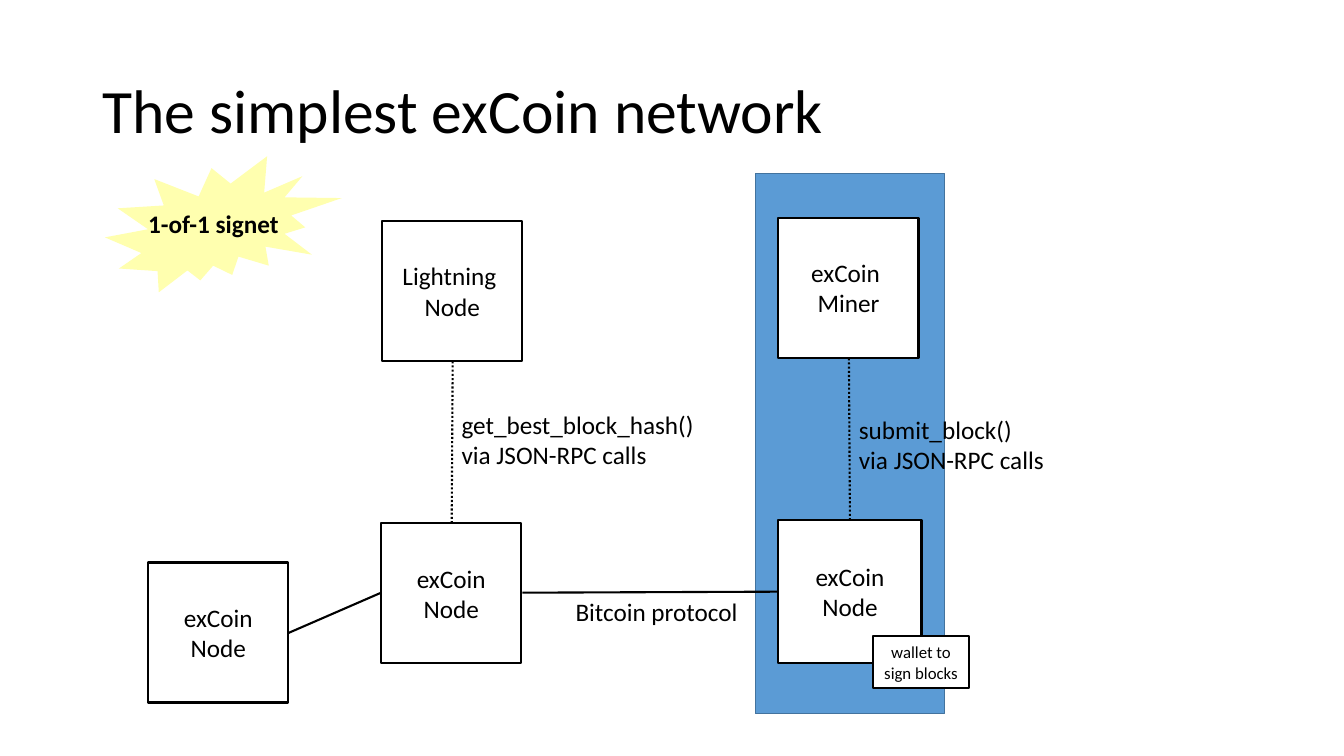
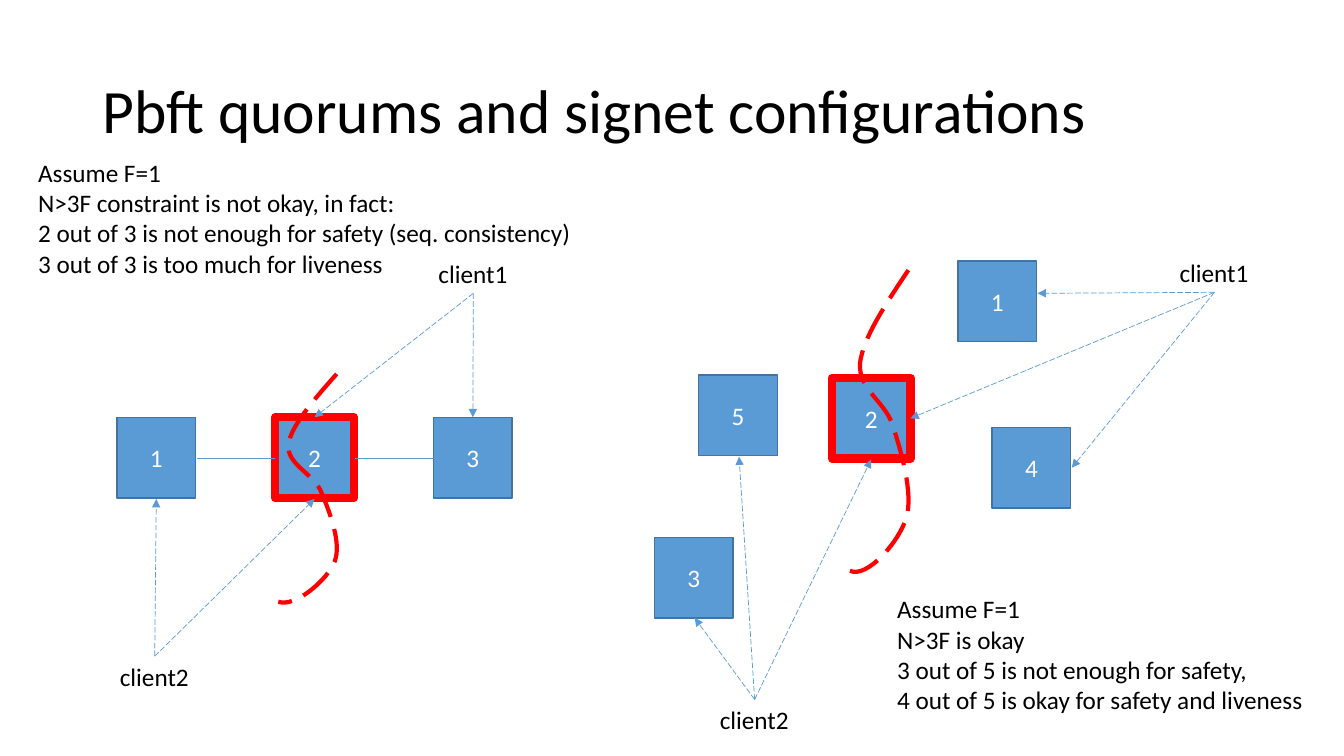
import dataclasses

import lxml.etree
import pptx
import pptx.dml.color
import pptx.enum.dml
import pptx.enum.shapes
import pptx.enum.text
import pptx.oxml.ns
import pptx.util

Inches = pptx.util.Inches
SHAPE = pptx.enum.shapes.MSO_SHAPE
DASH = pptx.enum.dml.MSO_LINE
ALIGN = pptx.enum.text.PP_ALIGN
ANCHOR = pptx.enum.text.MSO_ANCHOR
FIT = pptx.enum.text.MSO_AUTO_SIZE


@dataclasses.dataclass(frozen=True)
class Theme:
    font: str = "Calibri"
    ink: str = "000000"
    paper: str = "FFFFFF"
    blue: str = "5B9BD5"
    blue_edge: str = "43739E"
    alert: str = "FF0000"
    burst: str = "FFFFAF"
    title_size: int = 44
    body_size: int = 18
    small_size: int = 12


THEME = Theme()


class Deck:
    """Holds the style and the current slide, and draws each kind of element on it."""

    def __init__(self, theme):
        self.theme = theme
        self.presentation = pptx.Presentation()
        self.presentation.slide_width = Inches(13.33)
        self.presentation.slide_height = Inches(7.5)
        self.slide = None

    def start_slide(self, title):
        blank = self.presentation.slide_layouts[6]
        self.slide = self.presentation.slides.add_slide(blank)
        heading = self.slide.shapes.add_textbox(
            Inches(0.92), Inches(0.4), Inches(11.5), Inches(1.45))
        frame = heading.text_frame
        frame.word_wrap = True
        frame.vertical_anchor = ANCHOR.MIDDLE
        self.set_text(frame, title, size=self.theme.title_size)
        frame.paragraphs[0].line_spacing = 0.9

    def set_text(self, frame, text, size=None, color=None, bold=False, align=None):
        frame.text = text
        for paragraph in frame.paragraphs:
            paragraph.alignment = align
            for run in paragraph.runs:
                run.font.name = self.theme.font
                run.font.size = pptx.util.Pt(size or self.theme.body_size)
                run.font.bold = bold
                run.font.color.rgb = self.rgb(color or self.theme.ink)

    def rgb(self, color):
        return pptx.dml.color.RGBColor.from_string(color)

    def stroke(self, line, color, width, dash=None):
        line.color.rgb = self.rgb(color)
        line.width = pptx.util.Pt(width)
        if dash:
            line.dash_style = dash

    def label(self, text, left, top, width, height=0.4, bold=False):
        box = self.slide.shapes.add_textbox(
            Inches(left), Inches(top), Inches(width), Inches(height))
        self.set_text(box.text_frame, text, bold=bold)
        box.text_frame.word_wrap = False
        box.text_frame.auto_size = FIT.SHAPE_TO_FIT_TEXT

    def shape(self, left, top, width, height, fill, edge=None, edge_width=1,
              kind=SHAPE.RECTANGLE):
        shape = self.slide.shapes.add_shape(
            kind, Inches(left), Inches(top), Inches(width), Inches(height))
        shape.shadow.inherit = False
        shape.fill.solid()
        shape.fill.fore_color.rgb = self.rgb(fill)
        if edge:
            self.stroke(shape.line, edge, edge_width)
        else:
            shape.line.fill.background()
        return shape

    def node(self, text, left, top, width=1.39, height=1.39, size=None):
        node = self.shape(left, top, width, height, self.theme.paper, self.theme.ink, 1.5)
        node.text_frame.vertical_anchor = ANCHOR.MIDDLE
        self.set_text(node.text_frame, text, size=size, align=ALIGN.CENTER)

    def replica(self, number, left, top, faulty=False):
        edge, width = (self.theme.alert, 6) if faulty else (self.theme.blue_edge, 1)
        replica = self.shape(left, top, 0.78, 0.8, self.theme.blue, edge, width)
        replica.text_frame.vertical_anchor = ANCHOR.MIDDLE
        self.set_text(replica.text_frame, str(number), color=self.theme.paper,
                      align=ALIGN.CENTER)

    def link(self, start, end, color, width, dash=None, arrow=False):
        link = self.slide.shapes.add_connector(
            pptx.enum.shapes.MSO_CONNECTOR.STRAIGHT,
            *(Inches(length) for length in (*start, *end)))
        self.stroke(link.line, color, width, dash)
        qn = pptx.oxml.ns.qn
        properties = link._element.spPr
        if arrow:
            outline = properties.find(qn("a:ln"))
            lxml.etree.SubElement(outline, qn("a:tailEnd"), type="triangle")
        lxml.etree.SubElement(properties, qn("a:effectLst"))

    def client(self, name, left, top, targets, above):
        width, height = 0.89, 0.4
        self.label(name, left, top, width)
        origin = (left + width / 2, top + height if above else top)
        for target in targets:
            self.link(origin, target, self.theme.blue, 0.5, DASH.LONG_DASH, arrow=True)

    def partition(self, left, top, stretch=1):
        points = [(Inches(left + x), Inches(top + y * stretch))
                  for x, y in curve_points(PARTITION)]
        builder = self.slide.shapes.build_freeform(*points[0])
        builder.add_line_segments(points[1:], close=False)
        divide = builder.convert_to_shape()
        divide.shadow.inherit = False
        divide.fill.background()
        self.stroke(divide.line, self.theme.alert, 3, DASH.LONG_DASH)


PARTITION = [
    (0.58, 0), (0.35, 0.26), (0.13, 0.51), (0.1, 0.7),
    (0.08, 0.9), (0.36, 0.99), (0.43, 1.18),
    (0.51, 1.37), (0.63, 1.68), (0.56, 1.86),
    (0.49, 2.04), (0.17, 2.32), (0, 2.26),
]


def curve_points(controls, steps=16):
    points = [controls[0]]
    for first in range(0, len(controls) - 1, 3):
        segment = controls[first:first + 4]
        for step in range(1, steps + 1):
            t = step / steps
            weights = ((1 - t) ** 3, 3 * t * (1 - t) ** 2, 3 * t ** 2 * (1 - t), t ** 3)
            points.append(tuple(sum(weight * value for weight, value in zip(weights, axis))
                                for axis in zip(*segment)))
    return points


def build_network(deck):
    theme = deck.theme
    deck.start_slide("The simplest exCoin network")
    deck.shape(7.49, 1.72, 1.88, 5.36, theme.blue, theme.blue_edge)
    deck.node("exCoin \nMiner", 7.72, 2.16)
    deck.node("Lightning \nNode", 3.79, 2.19)
    deck.node("exCoin\nNode", 1.47, 5.58)
    deck.node("exCoin\nNode", 3.78, 5.19)
    deck.node("exCoin\nNode", 7.72, 5.16, 1.42, 1.42)
    deck.node("wallet to sign blocks", 8.66, 6.31, 0.95, 0.52, theme.small_size)

    for start, end, dash in [
        ((5.18, 5.88), (7.72, 5.87), None),
        ((2.86, 6.28), (3.78, 5.88), None),
        ((8.43, 5.16), (8.42, 3.56), DASH.ROUND_DOT),
        ((4.48, 5.19), (4.49, 3.59), DASH.ROUND_DOT),
    ]:
        deck.link(start, end, theme.ink, 1.5, dash)

    deck.label("Bitcoin protocol", 5.61, 5.87, 1.83)
    deck.label("submit_block() \nvia JSON-RPC calls", 8.42, 4.06, 2.05, 0.71)
    deck.label("get_best_block_hash()\nvia JSON-RPC calls", 4.48, 4.01, 2.53, 0.71)
    deck.shape(1.04, 1.55, 2.35, 1.35, theme.burst, kind=SHAPE.EXPLOSION2)
    deck.label("1-of-1 signet", 1.37, 2.02, 1.51, bold=True)


def build_quorums(deck):
    deck.start_slide("Pbft quorums and signet configurations")
    for number in (1, 2, 3):
        deck.replica(number, 1.16 + 1.57 * (number - 1), 4.14, faulty=number == 2)
    for number, left, top in [(1, 9.5, 2.59), (2, 8.25, 3.75), (3, 6.49, 5.33),
                              (4, 9.84, 4.24), (5, 6.93, 3.72)]:
        deck.replica(number, left, top, faulty=number == 2)
    deck.partition(2.76, 3.71)
    deck.partition(8.43, 2.68, stretch=1.32)
    for start, end in [(3.52, 4.3), (2.73, 1.95)]:
        deck.link((start, 4.55), (end, 4.55), deck.theme.blue, 0.5)

    deck.client("client1", 4.25, 2.51, [(3.12, 4.14), (4.69, 4.14)], above=True)
    deck.client("client2", 1.09, 6.51, [(1.55, 4.95), (3.12, 4.95)], above=False)
    deck.client("client1", 11.6, 2.5, [(9.03, 4.15), (10.29, 2.91), (10.63, 4.64)],
                above=True)
    deck.client("client2", 7.04, 6.94, [(7.33, 4.53), (6.89, 6.13), (8.64, 4.56)],
                above=False)

    deck.label("Assume F=1\nN>3F is okay\n3 out of 5 is not enough for safety,\n"
               "4 out of 5 is okay for safety and liveness", 8.8, 5.84, 4.27, 1.31)
    deck.label("Assume F=1\nN>3F constraint is not okay, in fact:\n"
               "2 out of 3 is not enough for safety (seq. consistency)\n"
               "3 out of 3 is too much for liveness", 0.28, 1.51, 5.55, 1.31)


deck = Deck(THEME)
build_network(deck)
build_quorums(deck)
deck.presentation.save("out.pptx")
